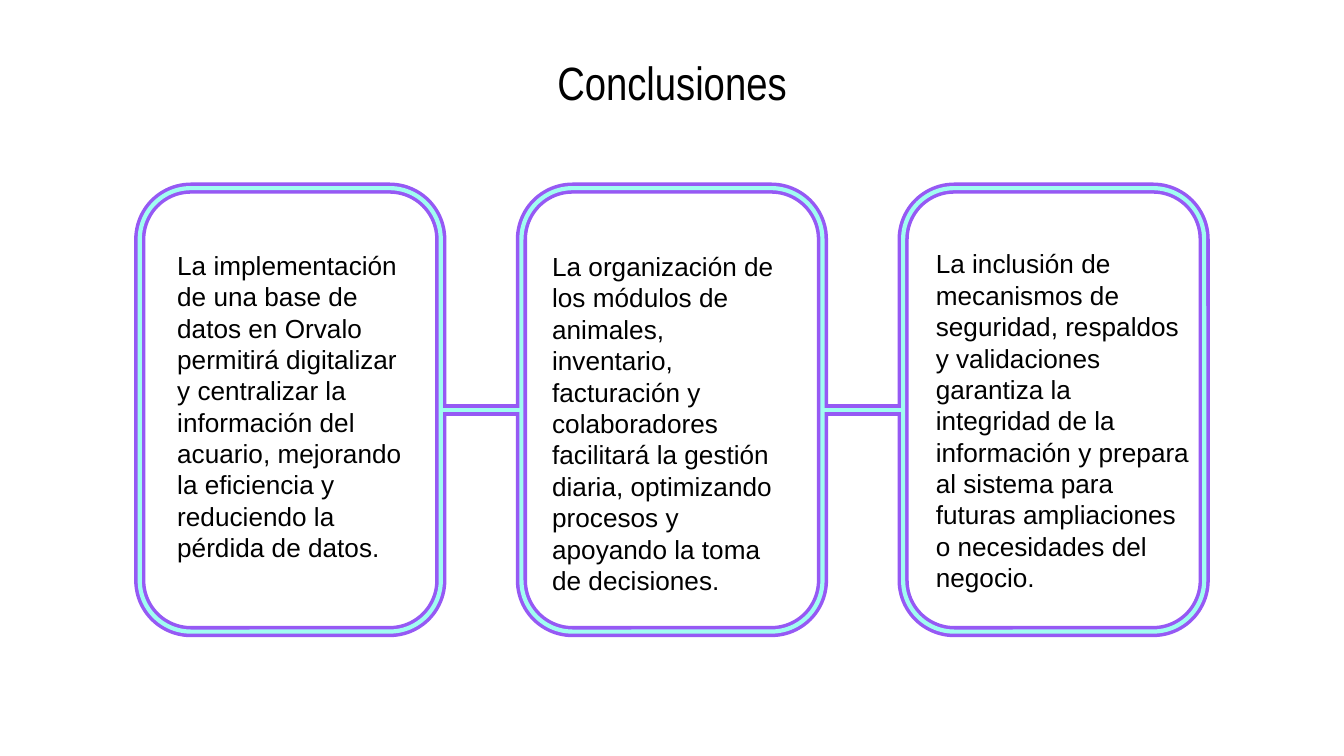
"""Builds the conclusions slide: three linked cards under a title."""
from lxml.etree import SubElement
from pptx import Presentation
from pptx.dml.color import RGBColor
from pptx.enum.shapes import MSO_CONNECTOR, MSO_SHAPE
from pptx.enum.text import MSO_ANCHOR, MSO_AUTO_SIZE, PP_ALIGN
from pptx.oxml.ns import qn
from pptx.util import Pt

PX = 4572
COLORS = {"violet": "9659F4", "mint": "A0FDF1", "text": "000000"}
STROKES = [("violet", 6), ("mint", 2.25)]
LEFT, TOP, WIDTH, HEIGHT, STEP = 208, 280, 448, 660, 568
MIDDLE = TOP + HEIGHT // 2
TITLE = {
    "frame": {"vertical_anchor": MSO_ANCHOR.MIDDLE, "margin_top": 20 * PX,
              "margin_bottom": 20 * PX},
    "para": {"alignment": PP_ALIGN.CENTER},
    "font": {"name": "Arial Narrow", "size": Pt(25)},
}
BODY = {
    "frame": {"auto_size": MSO_AUTO_SIZE.SHAPE_TO_FIT_TEXT},
    "para": {"alignment": PP_ALIGN.LEFT, "line_spacing": Pt(16.8)},
    "font": {"name": "Arial", "size": Pt(14)},
}
TEXTS = [
    ((113, 66, 1774, 112), TITLE, "Conclusiones"),
    ((244, 361, 376, 492), BODY,
     "La implementación de una base de datos en Orvalo permitirá digitalizar "
     "y centralizar la información del acuario, mejorando la eficiencia y "
     "reduciendo la pérdida de datos."),
    ((802, 363, 396, 492), BODY,
     "La organización de los módulos de animales, inventario, facturación y "
     "colaboradores facilitará la gestión diaria, optimizando procesos y "
     "apoyando la toma de decisiones."),
    ((1373, 359, 420, 538), BODY,
     "La inclusión de mecanismos de seguridad, respaldos y validaciones "
     "garantiza la integridad de la información y prepara al sistema para "
     "futuras ampliaciones o necesidades del negocio."),
]


def set_line(item, color, points):
    item.line.color.rgb = RGBColor.from_string(COLORS[color])
    item.line.width = Pt(points)


def add_links(page, color, points):
    for index in range(2):
        start = LEFT + (index + 1) * STEP
        end = LEFT + index * STEP + WIDTH
        link = page.shapes.add_connector(
            MSO_CONNECTOR.STRAIGHT, start * PX, MIDDLE * PX, end * PX, MIDDLE * PX)
        set_line(link, color, points)
        SubElement(link.element.spPr, qn("a:effectLst"))


deck = Presentation()
deck.slide_width, deck.slide_height = 2000 * PX, 1125 * PX
page = deck.slides.add_slide(deck.slide_layouts[6])

add_links(page, *STROKES[0])
for index in range(3):
    for color, points in STROKES:
        card = page.shapes.add_shape(
            MSO_SHAPE.ROUNDED_RECTANGLE, (LEFT + index * STEP) * PX, TOP * PX,
            WIDTH * PX, HEIGHT * PX)
        card.adjustments[0] = 0.17
        card.shadow.inherit = False
        card.fill.background()
        set_line(card, color, points)
add_links(page, *STROKES[1])

for place, style, words in TEXTS:
    box = page.shapes.add_textbox(*[length * PX for length in place])
    frame = box.text_frame
    frame.word_wrap = True
    para = frame.paragraphs[0]
    span = para.add_run()
    span.text = words
    span.font.color.rgb = RGBColor.from_string(COLORS["text"])
    for target, part in ((frame, "frame"), (para, "para"), (span.font, "font")):
        for name, value in style[part].items():
            setattr(target, name, value)

deck.save("out.pptx")
